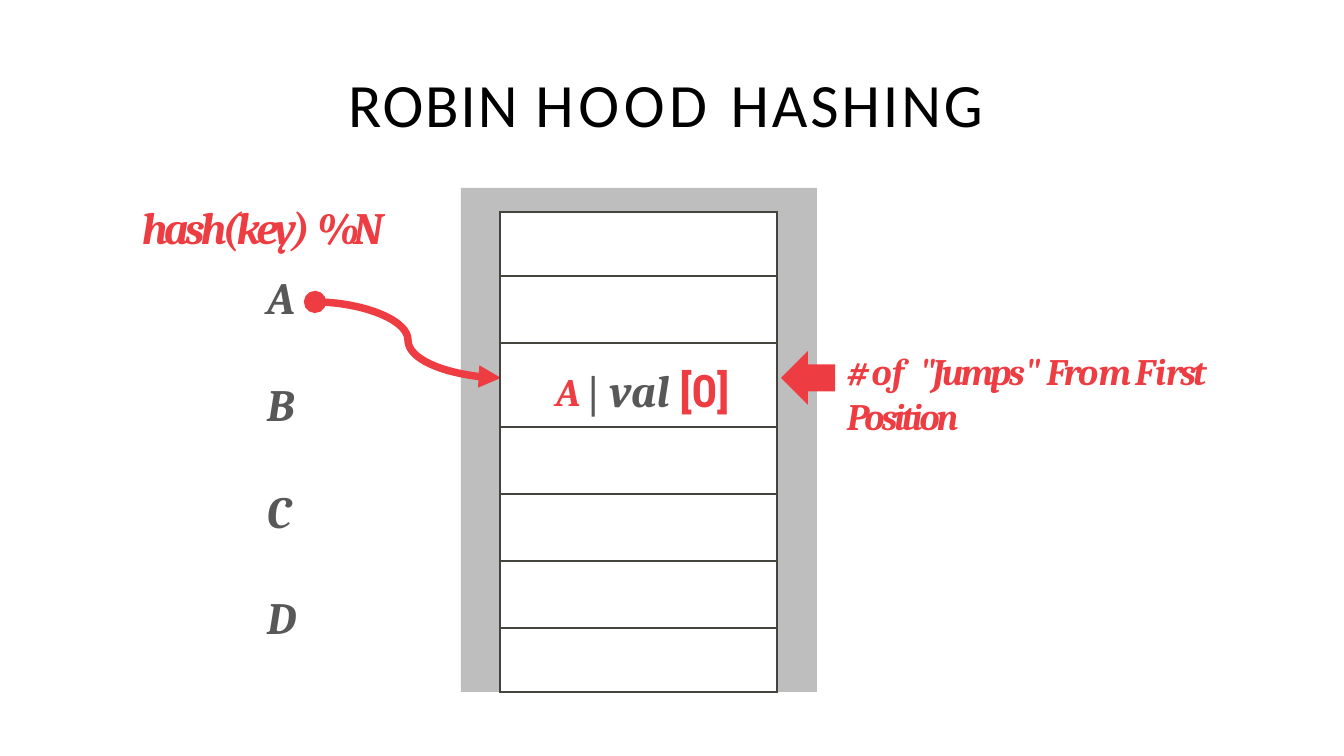
from lxml import etree
from pptx import Presentation
from pptx.dml.color import RGBColor
from pptx.enum.shapes import MSO_CONNECTOR, MSO_SHAPE
from pptx.enum.text import MSO_ANCHOR, MSO_AUTO_SIZE, PP_ALIGN
from pptx.oxml.ns import qn
from pptx.util import Pt

RECT, LEFT_ARROW = MSO_SHAPE.RECTANGLE, MSO_SHAPE.LEFT_ARROW
CURVE = MSO_CONNECTOR.CURVE
LEFT, MIDDLE, TOP = PP_ALIGN.LEFT, MSO_ANCHOR.MIDDLE, MSO_ANCHOR.TOP
NO_FIT = MSO_AUTO_SIZE.NONE
PX = 914400 / 134.4
RED, GREY, DARK = "EE3D42", "585858", "44433E"


def box(*lengths):
    """Turn pixels into whole EMU."""
    return [round(v * PX) for v in lengths]


def write(p, runs, before=0, indent=0, **base):
    """Fill a paragraph with (text, changes) runs on top of a base format."""
    p.alignment, p.space_before = LEFT, Pt(before)
    pPr = p._p.get_or_add_pPr()
    pPr.set("marL", str(box(indent)[0]))
    pPr.set("indent", "0")
    for text, changes in runs:
        f = {"font": "Cambria", "size": 24, "color": RED, "bold": True,
             "italic": True, "spc": 0, "raised": 0, **base, **changes}
        r = p.add_run()
        r.text = text
        r.font.name, r.font.size = f["font"], Pt(f["size"])
        r.font.bold, r.font.italic = f["bold"], f["italic"]
        r.font.color.rgb = RGBColor.from_string(f["color"])
        rPr = r._r.get_or_add_rPr()
        for key, value in (("spc", f["spc"]), ("baseline", f["raised"])):
            if value:
                rPr.set(key, str(round(value * (100 if key == "spc" else 1000))))


prs = Presentation()
prs.slide_width, prs.slide_height = box(1344, 756)
s = prs.slides.add_slide(prs.slide_layouts[5])

# Title
title = s.shapes.title
title.left, title.top, title.width, title.height = box(347, 71, 644, 62)
tf = title.text_frame
tf.auto_size, tf.vertical_anchor, tf.word_wrap = NO_FIT, MIDDLE, True
tf.margin_left, tf.margin_top, tf.margin_right, tf.margin_bottom = box(0, 1, 0, 0)
write(tf.paragraphs[0],
      [("ROBIN ", {"spc": 1}), ("HOOD ", {"spc": 2.5}), ("HASHING", {"spc": 1.6})],
      before=1.1, indent=1, font="Calibri", size=33, color="000000",
      bold=False, italic=False)

# Grey frame and jump arrow
for kind, place, color in ((RECT, (461, 188, 356, 504), "BEBEBE"),
                           (LEFT_ARROW, (781, 351, 54, 54), RED)):
    sp = s.shapes.add_shape(kind, *box(*place))
    sp.shadow.inherit = False
    sp.fill.solid()
    sp.fill.fore_color.rgb = RGBColor.from_string(color)
    sp.line.fill.background()

# Curved arrow from the hash to its slot
arrow = s.shapes.add_connector(CURVE, *box(315, 302, 501, 378))
arrow.line.color.rgb = RGBColor.from_string(RED)
arrow.line.width = Pt(4)
ln = arrow.line._get_or_add_ln()
etree.SubElement(ln, qn("a:headEnd"), type="oval")
etree.SubElement(ln, qn("a:tailEnd"), type="triangle")
etree.SubElement(arrow._element.spPr, qn("a:effectLst"))

# Hash table
heights = [64, 67, 84, 67, 67, 67, 64]
table = s.shapes.add_table(7, 1, *box(500, 212, 277, sum(heights))).table
table.first_row = table.horz_banding = False
for row, height in zip(table.rows, heights):
    row.height = box(height)[0]
    cell = row.cells[0]
    cell.fill.solid()
    cell.fill.fore_color.rgb = RGBColor.from_string("FFFFFF")
    tcPr = cell._tc.get_or_add_tcPr()
    for i, side in enumerate(("lnL", "lnR", "lnT", "lnB")):
        border = etree.Element(qn(f"a:{side}"), w=str(Pt(1.5)))
        fill = etree.SubElement(border, qn("a:solidFill"))
        etree.SubElement(fill, qn("a:srgbClr"), val=DARK)
        tcPr.insert(i, border)
cell = table.cell(2, 0)
cell.margin_left, cell.margin_top, cell.margin_right, cell.margin_bottom = box(0, 4, 0, 0)
write(cell.text_frame.paragraphs[0],
      [("A ", {"size": 36, "color": RED, "raised": 1}),
       ("| ", {"font": "Times New Roman", "italic": False}),
       ("val ", {}),
       ("[0]", {"font": "Roboto", "color": RED, "italic": False, "spc": -0.1})],
      before=1.9, indent=56, color=GREY)

# Keys on the left, note on the right
hash_runs = [("hash(key) ", {"spc": -2.1}), ("% ", {"spc": -8.7}), ("N", {"spc": -0.1})]
note_runs = [(text, {"spc": spc}) for text, spc in (
    ("# ", -3.4), ("o", -3), ("f ", 1.8), ('"Jumps', -1.6), ('" ', -1.1),
    ("Fro", -1.4), ("m ", -2.3), ("F", -0.5), ("i", -0.2), ("rst ", -1.6),
    ("Position", -1.8))]
frames = []
for place, inset, runs, before, size in (
        ((141, 183, 243, 510), 17, hash_runs, 9.3, 24),
        ((846, 347, 458, 90), 1, note_runs, 1, 20)):
    tf = s.shapes.add_textbox(*box(*place)).text_frame
    tf.word_wrap, tf.auto_size, tf.vertical_anchor = True, NO_FIT, TOP
    tf.margin_left, tf.margin_top, tf.margin_right, tf.margin_bottom = box(0, inset, 0, 0)
    write(tf.paragraphs[0], runs, before=before, indent=1, size=size)
    frames.append(tf)
for key in "ABCD":
    write(frames[0].add_paragraph(), [(key, {})],
          before=8.4 if key == "A" else 28.5, indent=126, color=GREY)

prs.save("out.pptx")
